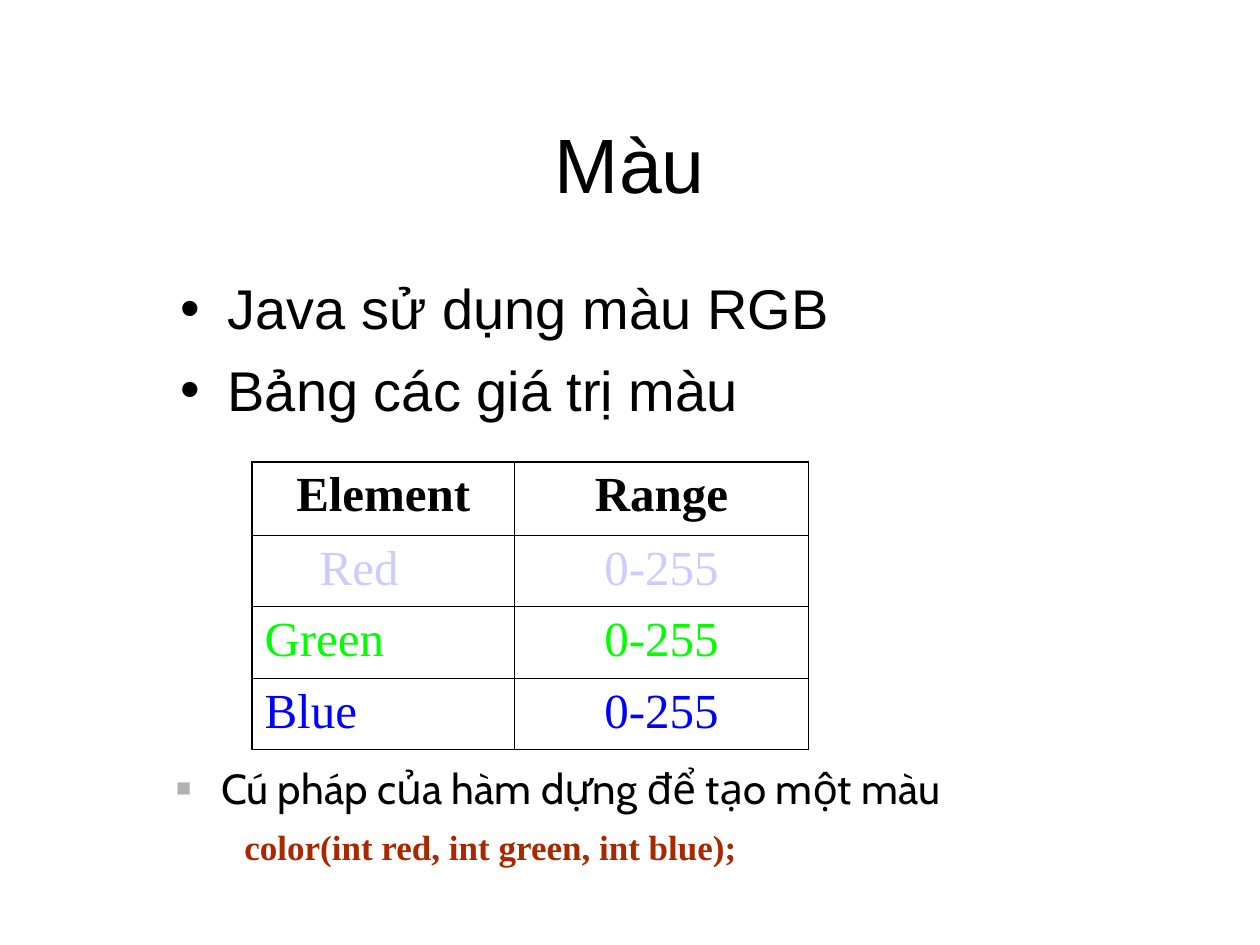
from dataclasses import dataclass
from typing import Any

from lxml import etree
from pptx import Presentation
from pptx.dml.color import RGBColor
from pptx.enum.text import MSO_ANCHOR, MSO_AUTO_SIZE, PP_ALIGN
from pptx.oxml.ns import qn
from pptx.util import Inches, Pt

CENTER, JUSTIFY, LEFT = PP_ALIGN.CENTER, PP_ALIGN.JUSTIFY, PP_ALIGN.LEFT
TOP, MIDDLE = MSO_ANCHOR.TOP, MSO_ANCHOR.MIDDLE
FIXED, GROW = MSO_AUTO_SIZE.NONE, MSO_AUTO_SIZE.SHAPE_TO_FIT_TEXT

BLACK = RGBColor(0, 0, 0)
LAVENDER = RGBColor(0xCC, 0xCC, 0xFF)
GREEN = RGBColor(0, 0xFF, 0)
BLUE = RGBColor(0, 0, 0xFF)
GRAY = RGBColor(0xB2, 0xB2, 0xB2)
RUST = RGBColor(0xA8, 0x28, 0)

UNIT = Inches(1) / 12  # the page is a grid of 120 columns by 90 rows
OUTER_LINE, INNER_LINE = Pt(1.08), Pt(0.45)


def grid(*counts):
    return [round(count * UNIT) for count in counts]


def add_bullet(props, char, color, percent):
    """Append bullet settings; spacing must already be set."""
    fill = etree.SubElement(props, qn("a:buClr"))
    etree.SubElement(fill, qn("a:srgbClr"), val=str(color))
    etree.SubElement(props, qn("a:buSzPct"), val=str(percent * 1000))
    etree.SubElement(props, qn("a:buFont"), typeface="Arial")
    etree.SubElement(props, qn("a:buChar"), char=char)


def add_border(cell, index, side, width):
    """Insert one black cell border, in schema order ahead of the fill."""
    line = etree.Element(qn(f"a:ln{side}"), w=str(width))
    fill = etree.SubElement(line, qn("a:solidFill"))
    etree.SubElement(fill, qn("a:srgbClr"), val=str(BLACK))
    cell._tc.get_or_add_tcPr().insert(index, line)


@dataclass
class SlideBuilder:
    page: Any
    heading_font: str = "Arial"
    table_font: str = "Times New Roman"
    note_font: str = "Cabin"

    def paragraph(self, para, text, font, align=LEFT, before=0, indent=0, hanging=0, bullet=None):
        """Fill a paragraph; indent and hanging are in grid columns."""
        para.alignment = align
        para.space_before = Pt(before)
        props = para._p.get_or_add_pPr()
        left, first = grid(indent, -hanging)
        props.set("marL", str(left))
        props.set("indent", str(first))
        if bullet:
            add_bullet(props, *bullet)
        span = para.add_run()
        span.text = text
        values = {"color": BLACK, "bold": False, **font}
        span.font.color.rgb = values.pop("color")
        for name, value in values.items():
            setattr(span.font, name, value)

    def text(self, place, lines, anchor=TOP, auto_size=FIXED):
        frame = self.page.shapes.add_textbox(*grid(*place)).text_frame
        frame.word_wrap = True
        frame.vertical_anchor = anchor
        frame.auto_size = auto_size
        for number, line in enumerate(lines):
            para = frame.add_paragraph() if number else frame.paragraphs[0]
            self.paragraph(para, **line)

    def table(self, corner, widths, heights, rows):
        """Each row is its texts, its font values and its first cell's layout."""
        place = grid(*corner, sum(widths), sum(heights))
        table = self.page.shapes.add_table(len(rows), len(widths), *place).table
        table.first_row = table.horz_banding = False
        for column, width in zip(table.columns, grid(*widths)):
            column.width = width
        for row, height in zip(table.rows, grid(*heights)):
            row.height = height
        last_row, last_column = len(rows) - 1, len(widths) - 1
        for r, (texts, values, first_layout) in enumerate(rows):
            font = {"name": self.table_font, "size": Pt(28), **values}
            for c, text in enumerate(texts):
                cell = table.cell(r, c)
                cell.fill.background()
                layout = {"align": CENTER} if c else first_layout
                self.paragraph(cell.text_frame.paragraphs[0], text, font, before=7, **layout)
                edges = {"L": c == 0, "R": c == last_column, "T": r == 0, "B": r == last_row}
                for index, (side, outer) in enumerate(edges.items()):
                    add_border(cell, index, side, OUTER_LINE if outer else INNER_LINE)


def main():
    deck = Presentation()
    deck.slide_width, deck.slide_height = grid(120, 90)
    builder = SlideBuilder(deck.slides.add_slide(deck.slide_layouts[6]))

    title_font = {"name": builder.heading_font, "size": Pt(44)}
    builder.text((9, 8, 102, 15), [{"text": "Màu", "font": title_font, "align": CENTER}], MIDDLE)

    point = {
        "font": {"name": builder.heading_font, "size": Pt(32)},
        "align": JUSTIFY, "before": 8, "indent": 4.5, "hanging": 4.5,
        "bullet": ("•", BLACK, 100),
    }
    points = ["Java sử dụng màu RGB", "Bảng các giá trị màu"]
    builder.text((16, 25.5, 100, 16.5), [{"text": text, **point} for text in points])

    color_range = "0-255"
    builder.table((24, 44), (25, 28), (7, 6.8, 6.8, 6.8), [
        (("Element", "Range"), {"bold": True}, {"align": CENTER}),
        (("Red", color_range), {"color": LAVENDER}, {"indent": 5.25}),
        (("Green", color_range), {"color": GREEN}, {}),
        (("Blue", color_range), {"color": BLUE}, {}),
    ])

    syntax = {
        "text": "Cú pháp của hàm dựng để tạo một màu",
        "font": {"name": builder.note_font, "size": Pt(24)},
        "align": JUSTIFY, "indent": 11.9, "hanging": 4.3, "bullet": ("■", GRAY, 60),
    }
    code = {
        "text": "color(int red, int green, int blue);",
        "font": {"name": builder.table_font, "size": Pt(20), "color": RUST, "bold": True},
        "align": JUSTIFY, "before": 7.5, "indent": 14.1,
    }
    builder.text((8, 72, 109, 15.2), [syntax, code], auto_size=GROW)

    deck.save("out.pptx")


if __name__ == "__main__":
    main()
